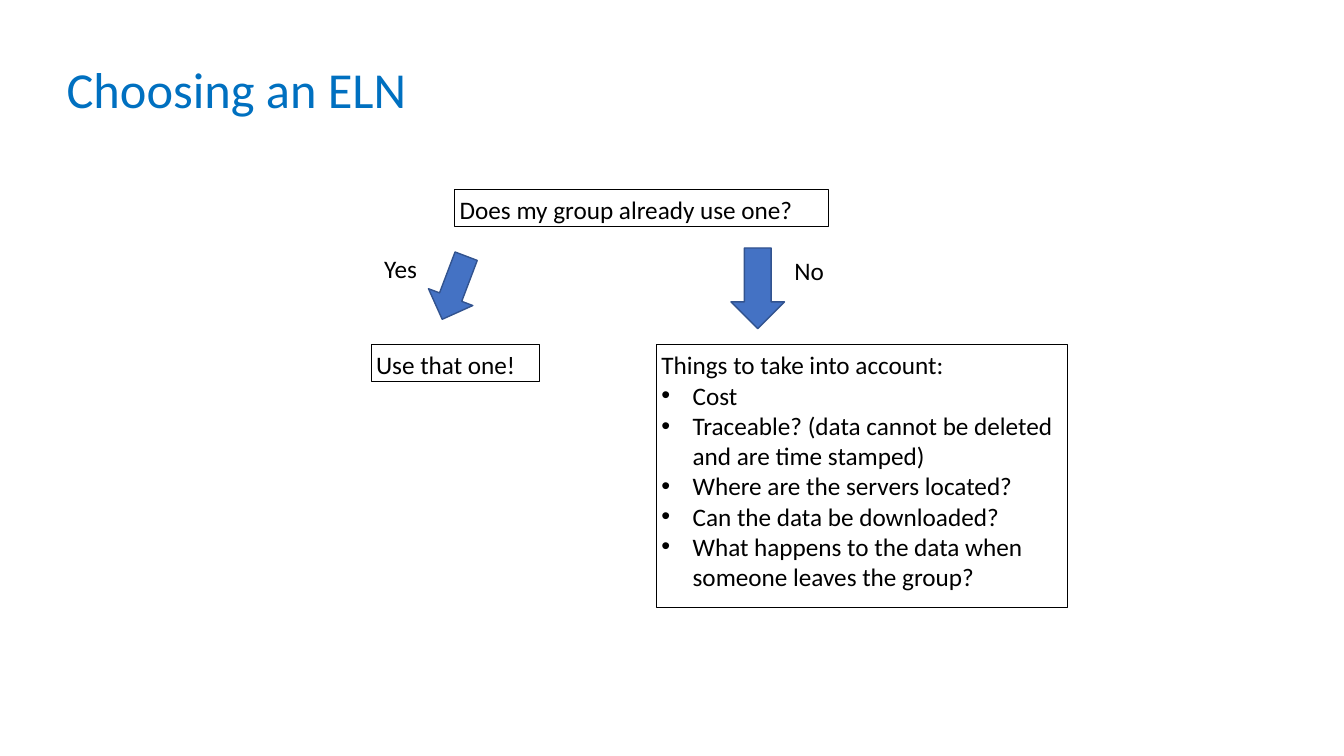
"""Build a slide with a small decision chart for choosing an ELN."""
import pptx
import pptx.dml.color
import pptx.enum.shapes
import pptx.enum.text
import pptx.util
from lxml import etree

TITLE = ("Choosing an ELN", (4.58, 7.07, 76.89, 8))
ROW_QUESTION, ROW_ANSWER = 25.07, 45.6
LINE_BOX = 4.93
BOXES = [
    (["Does my group already use one?"], [], (33.83, ROW_QUESTION, 27.83, LINE_BOX)),
    (["Use that one!"], [], (27.61, ROW_ANSWER, 12.53, LINE_BOX)),
    (["Things to take into account:"],
     ["Cost",
      "Traceable? (data cannot be deleted and are time stamped)",
      "Where are the servers located?",
      "Can the data be downloaded?",
      "What happens to the data when someone leaves the group?"],
     (48.84, ROW_ANSWER, 30.61, 34.8)),
]
ARROWS = [((32.03, 33.6, 3.53, 8.93), 20.8), ((54.39, 32.8, 3.98, 10.67), 0)]
LABELS = [("Yes", (28.21, 32.8, 3.3, 4.8)), ("No", (58.74, 33.07, 3.08, 4.8))]

BLACK = pptx.dml.color.RGBColor(0x00, 0x00, 0x00)
TITLE_BLUE = pptx.dml.color.RGBColor(0x00, 0x70, 0xC0)
ARROW_FILL = pptx.dml.color.RGBColor(0x44, 0x72, 0xC4)
ARROW_LINE = pptx.dml.color.RGBColor(0x32, 0x53, 0x8F)
FONT = "Calibri"
INSET = pptx.util.Inches(0.05)
INDENT = pptx.util.Inches(0.31)
SHAPE = pptx.enum.shapes.MSO_SHAPE

prs = pptx.Presentation()
prs.slide_width = pptx.util.Inches(13.33)
prs.slide_height = pptx.util.Inches(7.5)
slide = prs.slides.add_slide(prs.slide_layouts[5])


def place(shares):
    """Turn percentages of the slide into left, top, width and height."""
    sizes = (prs.slide_width, prs.slide_height) * 2
    return [round(size * share / 100) for size, share in zip(sizes, shares)]


def add_bullet(p):
    """Give a paragraph a hanging round bullet."""
    props = p._p.get_or_add_pPr()
    props.set("marL", str(INDENT))
    props.set("indent", str(-INDENT))
    for tag, key, value in (("buFont", "typeface", "Arial"), ("buChar", "char", "•")):
        etree.SubElement(props, pptx.oxml.ns.qn("a:" + tag)).set(key, value)


def write(sp, lines, bullets=(), size=18, color=BLACK, wrap=True):
    """Fill a shape with plain lines followed by bulleted lines."""
    tf = sp.text_frame
    tf.word_wrap = wrap
    tf.auto_size = pptx.enum.text.MSO_AUTO_SIZE.NONE
    tf.vertical_anchor = pptx.enum.text.MSO_ANCHOR.TOP
    tf.margin_left = tf.margin_right = tf.margin_top = tf.margin_bottom = INSET
    for i, text in enumerate([*lines, *bullets]):
        p = tf.paragraphs[0] if i == 0 else tf.add_paragraph()
        p.alignment = pptx.enum.text.PP_ALIGN.LEFT
        if i >= len(lines):
            add_bullet(p)
        r = p.add_run()
        r.text = text
        r.font.name, r.font.size = FONT, pptx.util.Pt(size)
        r.font.color.rgb = color


def add_outlined(kind, shares, line, width):
    """Add an unfilled preset shape with an outline and no shadow."""
    sp = slide.shapes.add_shape(kind, *place(shares))
    sp.shadow.inherit = False
    sp.fill.background()
    sp.line.color.rgb = line
    sp.line.width = pptx.util.Pt(width)
    return sp


title = slide.shapes.title
title.left, title.top, title.width, title.height = place(TITLE[1])
write(title, [TITLE[0]], size=36, color=TITLE_BLUE)

for lines, bullets, shares in BOXES:
    write(add_outlined(SHAPE.RECTANGLE, shares, BLACK, 0.75), lines, bullets)

for shares, angle in ARROWS:
    arrow = add_outlined(SHAPE.DOWN_ARROW, shares, ARROW_LINE, 1)
    arrow.fill.solid()
    arrow.fill.fore_color.rgb = ARROW_FILL
    arrow.rotation = angle

for text, shares in LABELS:
    write(slide.shapes.add_textbox(*place(shares)), [text], wrap=False)

prs.save("out.pptx")
